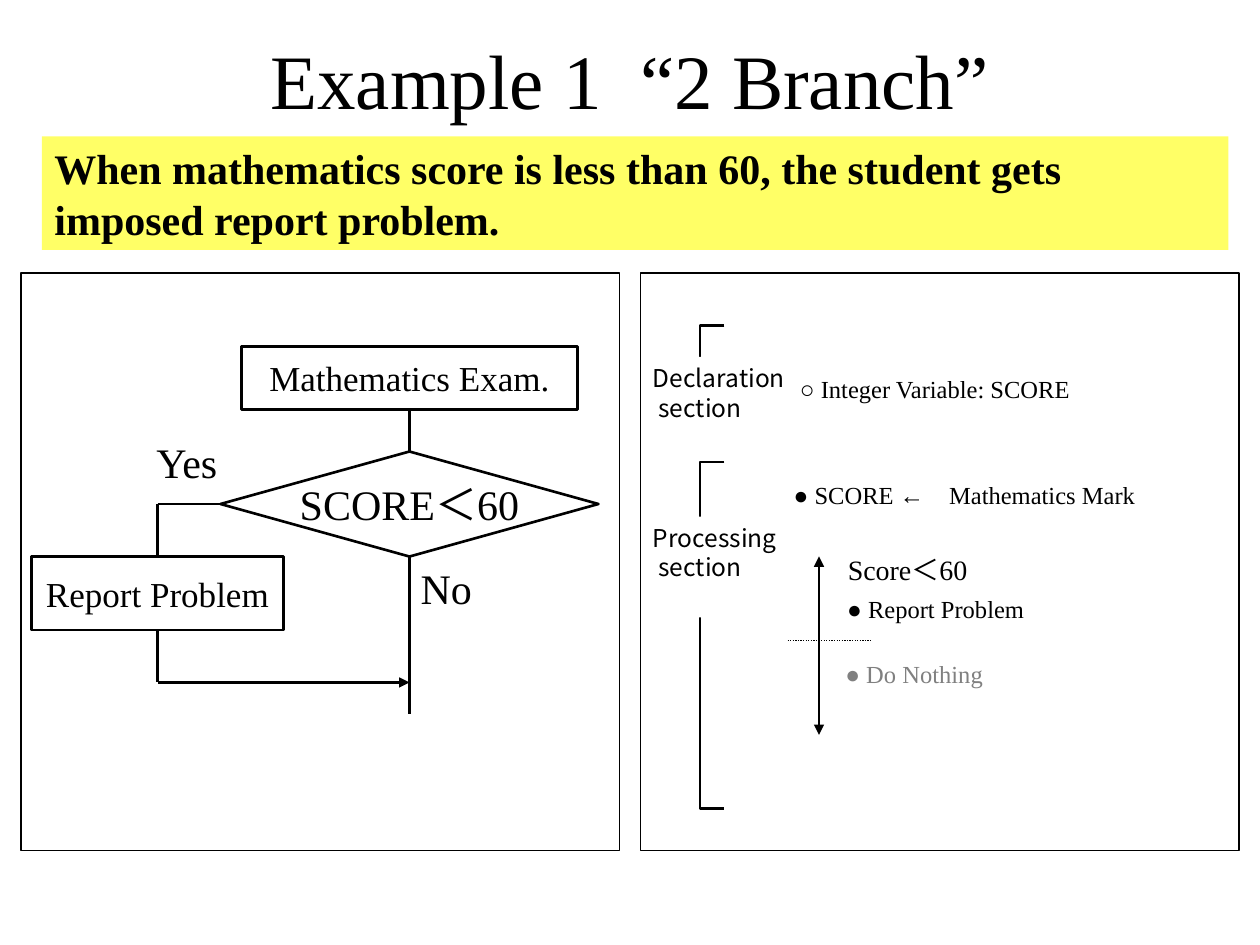
from lxml import etree
from pptx import Presentation
from pptx.dml.color import RGBColor
from pptx.enum.dml import MSO_LINE
from pptx.enum.shapes import MSO_CONNECTOR, MSO_SHAPE
from pptx.enum.text import MSO_ANCHOR, PP_ALIGN
from pptx.oxml.ns import qn
from pptx.util import Pt

RECTANGLE = MSO_SHAPE.RECTANGLE
PROCESS = MSO_SHAPE.FLOWCHART_PROCESS
DECISION = MSO_SHAPE.FLOWCHART_DECISION
STRAIGHT = MSO_CONNECTOR.STRAIGHT
LEFT, CENTER = PP_ALIGN.LEFT, PP_ALIGN.CENTER
TOP, MIDDLE = MSO_ANCHOR.TOP, MSO_ANCHOR.MIDDLE
DOTTED = MSO_LINE.ROUND_DOT
TOP_SIDE, LEFT_SIDE, BOTTOM_SIDE = 0, 1, 2
SERIF, SANS = "Times New Roman", "Noto Sans CJK JP"
BLACK, WHITE, YELLOW, GRAY = "000000", "FFFFFF", "FFFF66", "808080"


def color(hex_value):
    return RGBColor.from_string(hex_value)


def points(values):
    return [Pt(value) for value in values]


def write_text(shape, lines, size, hex_value=BLACK, align=LEFT, anchor=TOP,
               wrap=True, name=SERIF, bold=False):
    frame = shape.text_frame
    frame.word_wrap = wrap
    frame.vertical_anchor = anchor
    frame.text = "\n".join(lines)
    font_format = {"size": Pt(size), "name": name, "bold": bold}
    for para in frame.paragraphs:
        para.alignment = align
        for span in para.runs:
            for attribute, value in font_format.items():
                setattr(span.font, attribute, value)
            span.font.color.rgb = color(hex_value)


def add_box(page, kind, area, fill=None, line_width=None):
    box = page.shapes.add_shape(kind, *points(area))
    box.shadow.inherit = False
    if fill:
        box.fill.solid()
        box.fill.fore_color.rgb = color(fill)
    else:
        box.fill.background()
    if line_width:
        box.line.color.rgb = color(BLACK)
        box.line.width = Pt(line_width)
    else:
        box.line.fill.background()
    return box


def add_step(page, kind, area, text, size):
    step = add_box(page, kind, area, WHITE, 1.5)
    write_text(step, [text], size, align=CENTER, anchor=MIDDLE, wrap=False)
    return step


def add_label(page, area, text, size=14, hex_value=BLACK):
    box = page.shapes.add_textbox(*points(area))
    write_text(box, [text], size, hex_value)


def add_line(page, ends, begin=None, end=None, arrows=(), dash=None, width=1.5):
    """Draw a line; begin and end are (shape, side), arrows are headEnd or tailEnd."""
    line = page.shapes.add_connector(STRAIGHT, *points(ends))
    if begin:
        line.begin_connect(*begin)
    if end:
        line.end_connect(*end)
    line.line.color.rgb = color(BLACK)
    line.line.width = Pt(width)
    if dash:
        line.line.dash_style = dash
    outline = line.line._get_or_add_ln()
    for arrow in arrows:
        etree.SubElement(outline, qn(f"a:{arrow}"), type="triangle")
    etree.SubElement(line._element.spPr, qn("a:effectLst"))


def add_bracket(page, top, height):
    outer, inner = 400, 414
    bottom = top + height
    builder = page.shapes.build_freeform(Pt(inner), Pt(top))
    corners = [(outer, top), (outer, bottom), (inner, bottom)]
    builder.add_line_segments([points(corner) for corner in corners], close=False)
    bracket = builder.convert_to_shape()
    bracket.shadow.inherit = False
    bracket.fill.background()
    bracket.line.color.rgb = color(BLACK)
    bracket.line.width = Pt(1.5)


def add_section(page, bracket_top, bracket_height, label_top, word):
    """Add a bracket whose stem is interrupted by the section's label."""
    add_bracket(page, bracket_top, bracket_height)
    box = add_box(page, RECTANGLE, (366, label_top, 96, 57.6), WHITE)
    write_text(box, [word, " section"], 14, name=SANS)


def add_heading(page):
    title = page.shapes.title
    title.left, title.top, title.width, title.height = points((54, 18, 612, 54))
    write_text(title, ["Example 1  “2 Branch”"], 44, align=CENTER, anchor=MIDDLE)
    banner = add_box(page, RECTANGLE, (24, 78, 678, 64.8), YELLOW)
    write_text(banner, ["When mathematics score is less than 60, "
                        "the student gets imposed report problem."], 24, bold=True)


def add_flowchart(page):
    exam = add_step(page, PROCESS, (138, 198, 192, 36), "Mathematics Exam.", 20)
    decision = add_step(page, DECISION, (126, 258, 216, 60), "SCORE＜60", 24)
    report = add_step(page, PROCESS, (18, 318, 144, 42), "Report Problem", 20)

    main_x, branch_x, branch_y, merge_y = 234, 90, 288, 390
    add_line(page, (main_x, 234, main_x, 258),
             (exam, BOTTOM_SIDE), (decision, TOP_SIDE))
    add_line(page, (main_x, 318, main_x, 408), (decision, BOTTOM_SIDE))
    add_line(page, (branch_x, branch_y, 126, branch_y), end=(decision, LEFT_SIDE))
    add_line(page, (branch_x, branch_y, branch_x, 318), end=(report, TOP_SIDE))
    add_line(page, (branch_x, 360, branch_x, merge_y), (report, BOTTOM_SIDE))
    add_line(page, (branch_x, merge_y, main_x, merge_y), arrows=["tailEnd"])

    add_label(page, (82.2, 246, 54, 36), "Yes", 24)
    add_label(page, (233.3, 318, 48, 36), "No", 24)


def add_program_outline(page):
    add_section(page, 186, 72, 204, "Declaration")
    add_section(page, 264, 198, 295.2, "Processing")
    add_line(page, (468, 318, 468, 420), arrows=["headEnd", "tailEnd"])
    add_line(page, (450, 366, 498, 366), dash=DOTTED, width=0.75)

    add_label(page, (450, 210, 186, 24.5), "○ Integer Variable: SCORE")
    add_label(page, (446.4, 270.7, 226, 24.5), "● SCORE ←　Mathematics Mark")
    add_label(page, (477.4, 312, 100, 26.6), "Score＜60", 16)
    add_label(page, (477, 336, 125, 24.5), "● Report Problem")
    add_label(page, (476, 373, 102, 24.5), "● Do Nothing", hex_value=GRAY)


def main():
    deck = Presentation()
    deck.slide_width, deck.slide_height = points((720, 540))
    page = deck.slides.add_slide(deck.slide_layouts[5])
    add_heading(page)
    add_flowchart(page)
    add_program_outline(page)
    for panel_left in (12, 366):
        add_box(page, RECTANGLE, (panel_left, 156, 342, 330), line_width=0.75)
    deck.save("out.pptx")


if __name__ == "__main__":
    main()
